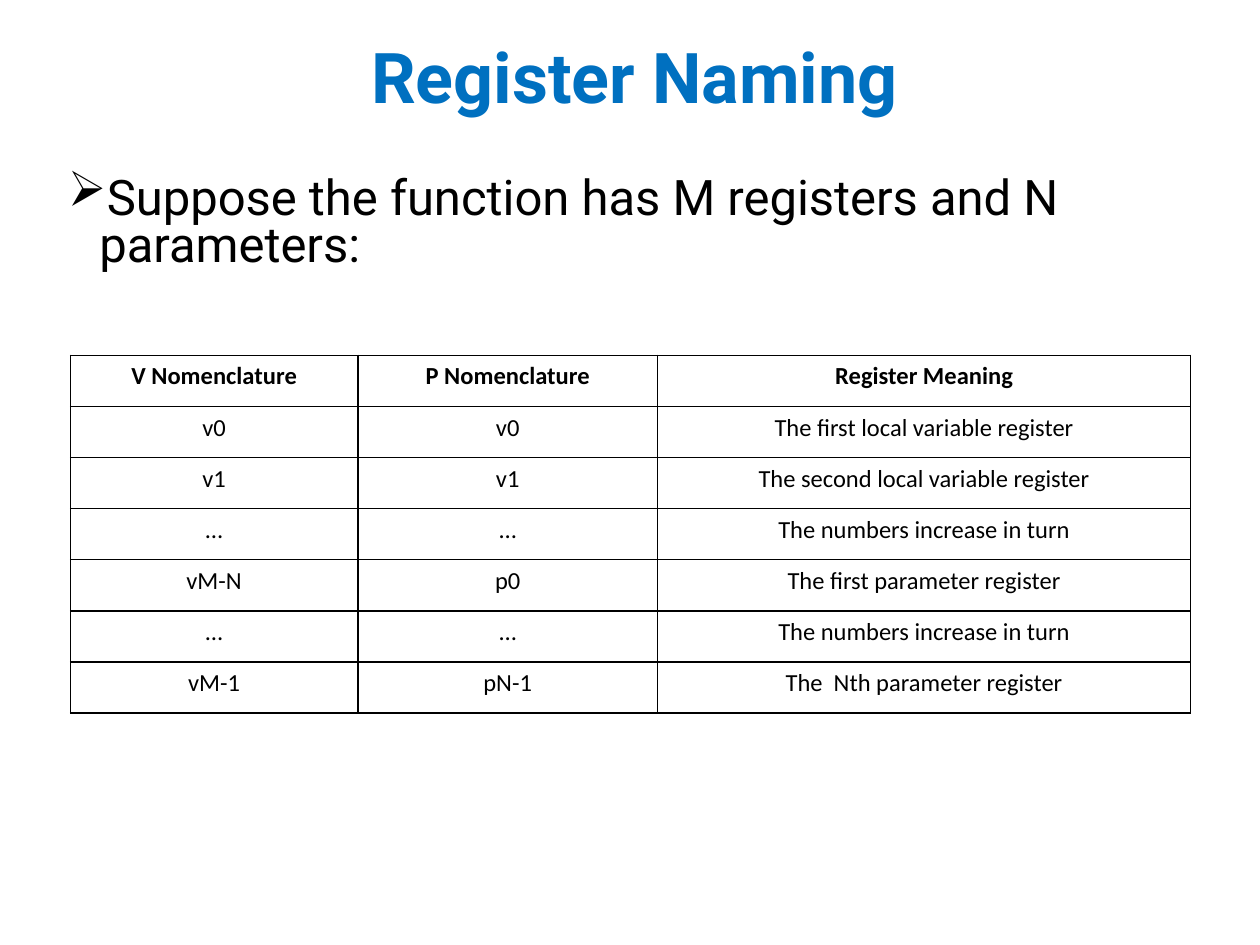
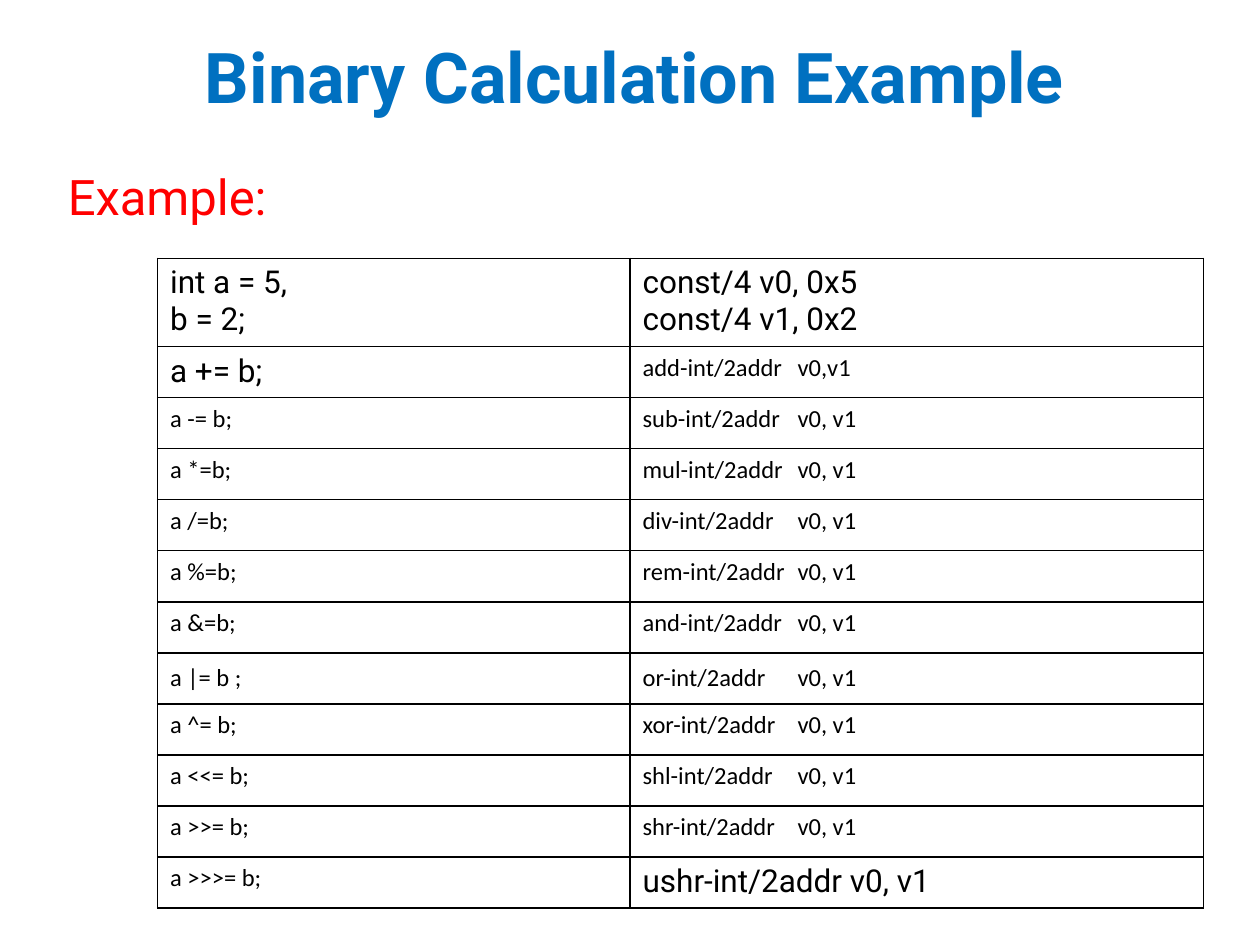
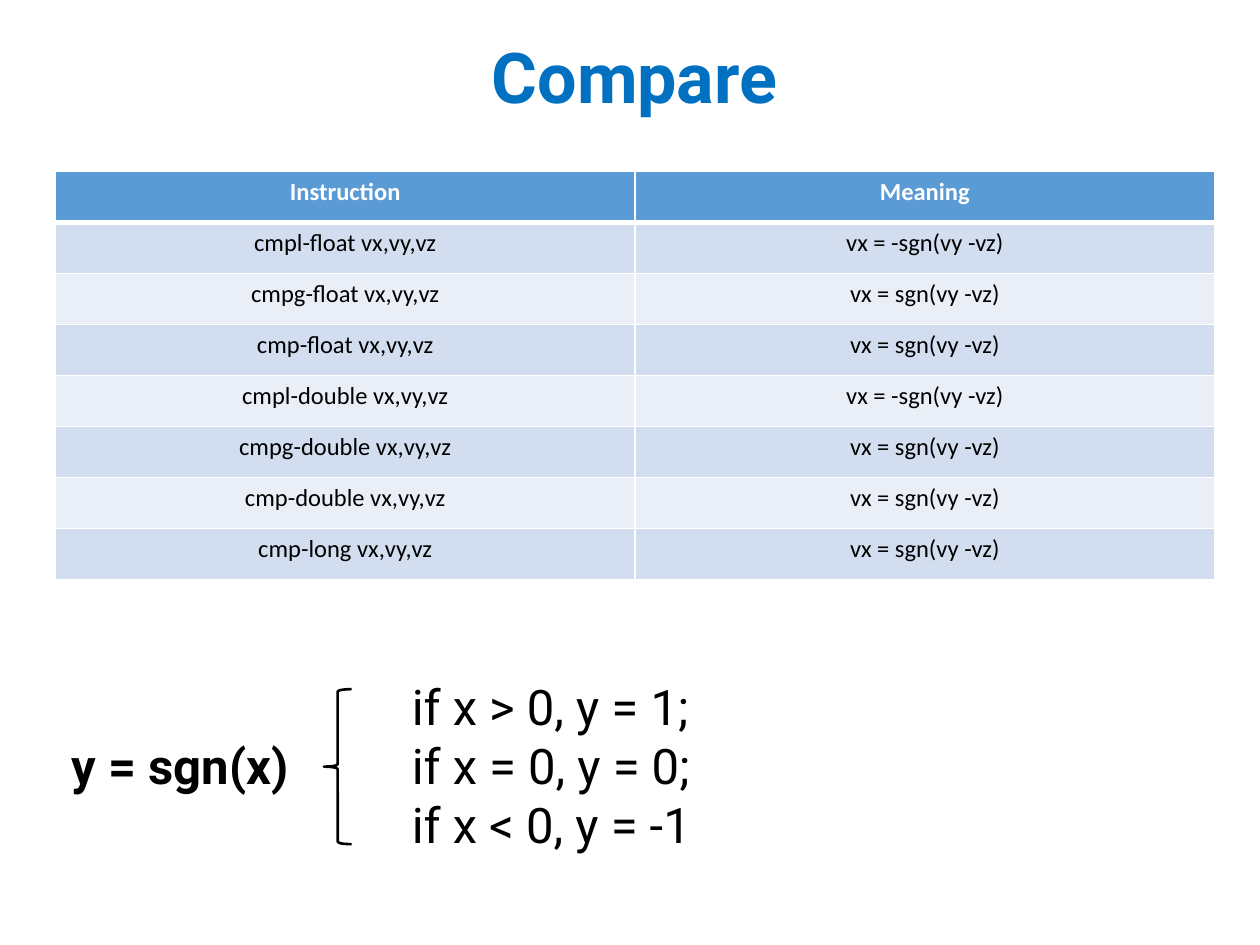
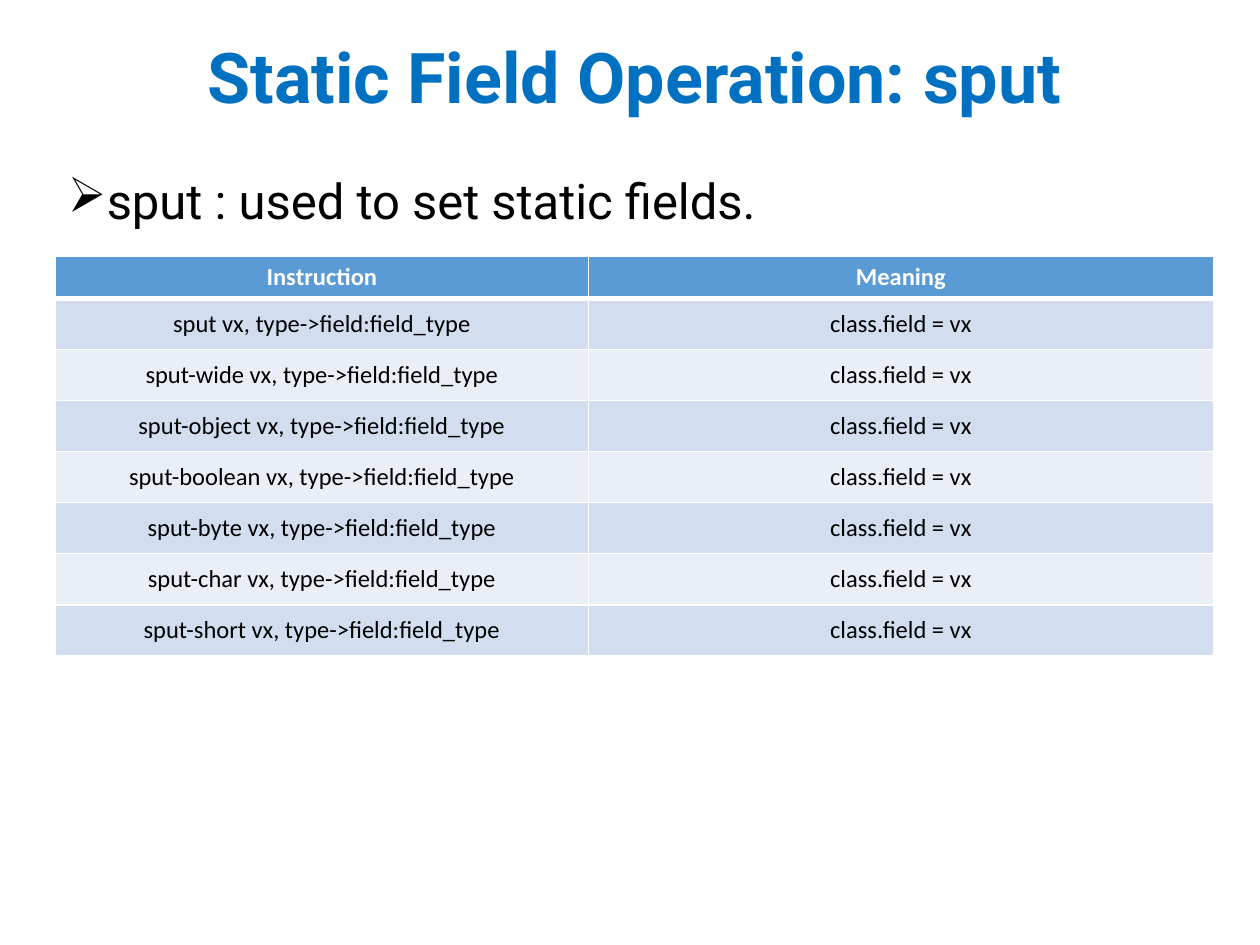
from pptx import Presentation
from pptx import util as u
from pptx.dml.color import RGBColor
from pptx.enum import shapes, text
from pptx.oxml.ns import qn
from lxml import etree

# Shared style
HEX = {"title": "0070C0", "ink": "000000", "red": "FF0000", "white": "FFFFFF",
       "head": "5B9BD5", "odd": "D2DEEF", "even": "EAEFF7"}
HEAD, BODY = "Roboto", "Calibri"
LEFT, WIDE = 0.44, 9.19
MID = text.MSO_ANCHOR.MIDDLE
TOP = text.MSO_ANCHOR.TOP
CENTER = text.PP_ALIGN.CENTER

# Content
NAMES = [
    ("V Nomenclature", "P Nomenclature", "Register Meaning"),
    ("v0", "v0", "The first local variable register"),
    ("v1", "v1", "The second local variable register"),
    ("…", "…", "The numbers increase in turn"),
    ("vM-N", "p0", "The first parameter register"),
    ("…", "…", "The numbers increase in turn"),
    ("vM-1", "pN-1", "The  Nth parameter register"),
]
MATH = [
    ("int a = 5,\nb = 2;", "const/4 v0, 0x5\nconst/4 v1, 0x2"),
    ("a += b;", "add-int/2addr\tv0,v1"),
    ("a -= b;", "sub-int/2addr\tv0, v1"),
    ("a *=b;", "mul-int/2addr\tv0, v1"),
    ("a /=b;", "div-int/2addr\tv0, v1"),
    ("a %=b;", "rem-int/2addr\tv0, v1"),
    ("a &=b;", "and-int/2addr\tv0, v1"),
    ("a |= b ;", "or-int/2addr\tv0, v1"),
    ("a ^= b;", "xor-int/2addr\tv0, v1"),
    ("a <<= b;", "shl-int/2addr\tv0, v1"),
    ("a >>= b;", "shr-int/2addr\tv0, v1"),
    ("a >>>= b;", "ushr-int/2addr v0, v1"),
]
LARGE = {(0, 0), (0, 1), (1, 0), (11, 1)}
OR_ROW = 7
LABELS = ("Instruction", "Meaning")
COMPARE = [LABELS] + [
    (f"{op} vx,vy,vz", f"vx = {'-' if op.startswith('cmpl') else ''}sgn(vy -vz)")
    for op in ("cmpl-float", "cmpg-float", "cmp-float", "cmpl-double",
               "cmpg-double", "cmp-double", "cmp-long")]
SPUT = [LABELS] + [
    (f"sput{kind} vx, type->field:field_type", "class.field = vx")
    for kind in ("", "-wide", "-object", "-boolean", "-byte", "-char", "-short")]
CASES = "if x > 0, y = 1;\nif x = 0, y = 0;\nif x < 0, y = -1"


def style(frame, size, color="ink", font=HEAD, bold=False, align=None, line=None):
    for para in frame.paragraphs:
        para.alignment = align
        if line:
            para.line_spacing = line
        for run in para.runs:
            run.font.size = u.Pt(size)
            run.font.name = font
            run.font.bold = bold
            run.font.color.rgb = RGBColor.from_string(HEX[color])


def place(shape, box):
    shape.left, shape.top, shape.width, shape.height = map(u.Inches, box)


def add_slide(deck, title):
    slide = deck.slides.add_slide(deck.slide_layouts[5])
    head = slide.shapes.title
    place(head, (LEFT, 0.24, WIDE, 0.81))
    frame = head.text_frame
    frame.text = title
    frame.auto_size = text.MSO_AUTO_SIZE.NONE
    frame.vertical_anchor = MID
    style(frame, 40, "title", bold=True, align=CENTER, line=0.9)
    return slide


def add_text(slide, words, box, wrap=True, **look):
    frame = slide.shapes.add_textbox(*map(u.Inches, box)).text_frame
    frame.text = words
    frame.word_wrap = wrap
    style(frame, 28, **look)
    return frame


def indent(para, left, first=0):
    props = para._p.get_or_add_pPr()
    props.set("marL", str(u.Inches(left)))
    props.set("indent", str(u.Inches(first)))
    return props


def add_bullet(slide, words, high, line):
    para = add_text(slide, words, (LEFT, 1.36, WIDE, high), line=line).paragraphs[0]
    para.space_before = u.Pt(10)
    props = indent(para, 0.25, -0.39)
    etree.SubElement(props, qn("a:buChar")).set("char", "➢")


def set_tab(para, at):
    tabs = etree.SubElement(para._p.get_or_add_pPr(), qn("a:tabLst"))
    tab = etree.SubElement(tabs, qn("a:tab"))
    tab.set("pos", str(u.Inches(at)))
    tab.set("algn", "l")


def edge(cell, color, top=1, bottom=1):
    props = cell._tc.get_or_add_tcPr()
    for side, width in (("L", 1), ("R", 1), ("T", top), ("B", bottom)):
        line = etree.SubElement(props, qn(f"a:ln{side}"))
        line.set("w", str(u.Pt(width)))
        fill = etree.SubElement(line, qn("a:solidFill"))
        etree.SubElement(fill, qn("a:srgbClr")).set("val", HEX[color])


def add_grid(slide, rows, box, cols, first=None, banded=False, align=CENTER):
    """Draw a table; rows share the height left after the first row."""
    count = len(rows)
    table = slide.shapes.add_table(count, len(cols), *map(u.Inches, box)).table
    table.first_row = table.horz_banding = False
    for col, wide in zip(table.columns, cols):
        col.width = u.Inches(wide)
    first = first or box[3] / count
    rest = (box[3] - first) / (count - 1)
    for r, row in enumerate(rows):
        table.rows[r].height = u.Inches(rest if r else first)
        for c, words in enumerate(row):
            cell = table.cell(r, c)
            cell.text = words
            cell.vertical_anchor = TOP
            white = banded and r == 0
            style(cell.text_frame, 14, "white" if white else "ink", BODY,
                  r == 0, align)
            if banded:
                edge(cell, "white", 3 if r == 1 else 1, 3 if r == 0 else 1)
                shade = "head" if r == 0 else "odd" if r % 2 else "even"
                cell.fill.solid()
                cell.fill.fore_color.rgb = RGBColor.from_string(HEX[shade])
            else:
                edge(cell, "ink")
                cell.fill.background()
    return table


def naming(deck):
    slide = add_slide(deck, "Register Naming")
    add_bullet(slide, "Suppose the function has M registers and N parameters:", 0.89, 0.8)
    add_grid(slide, NAMES, (0.56, 2.82, 8.88, 2.84), (2.28, 2.38, 4.23))


def binary(deck):
    slide = add_slide(deck, "Binary Calculation Example")
    add_text(slide, "Example:", (LEFT, 1.27, 1.84, 0.57), wrap=False, color="red")
    table = add_grid(slide, MATH, (1.25, 2.05, 8.3, 5.16), (3.75, 4.55),
                     first=0.7, align=None)
    for r, c in LARGE:
        style(table.cell(r, c).text_frame, 18)
    for c in range(2):
        table.cell(OR_ROW, c).vertical_anchor = MID
    for r, row in enumerate(MATH):
        if "\t" in row[1]:
            set_tab(table.cell(r, 1).text_frame.paragraphs[0], 1.23)


def compare(deck):
    slide = add_slide(deck, "Compare")
    add_grid(slide, COMPARE, (LEFT, 1.36, WIDE, 3.24), (4.6, 4.6), banded=True)
    # Definition of sgn
    cases = add_text(slide, CASES, (LEFT, 4.85, 5.26, 2.46))
    cases.margin_top = u.Inches(0.52)
    for para in cases.paragraphs:
        indent(para, 2.73)
    brace = slide.shapes.add_shape(shapes.MSO_SHAPE.LEFT_BRACE,
                                   *map(u.Inches, (2.57, 5.47, 0.22, 1.23)))
    brace.shadow.inherit = False
    brace.fill.background()
    brace.line.color.rgb = RGBColor.from_string(HEX["ink"])
    brace.line.width = u.Pt(1.5)
    add_text(slide, "y = sgn(x)", (0.47, 5.79, 2.21, 0.57), bold=True)


def fields(deck):
    slide = add_slide(deck, "Static Field Operation: sput")
    table = add_grid(slide, SPUT, (LEFT, 2.03, WIDE, 3.17), (4.23, 4.96),
                     first=0.33, banded=True)
    for r in range(1, len(SPUT)):
        for c in range(2):
            table.cell(r, c).vertical_anchor = MID
    add_bullet(slide, "sput : used to set static fields.", 0.67, 0.9)


def main():
    deck = Presentation()
    deck.slide_width, deck.slide_height = u.Inches(10), u.Inches(7.5)
    for build in (naming, binary, compare, fields):
        build(deck)
    deck.save("out.pptx")


if __name__ == "__main__":
    main()
